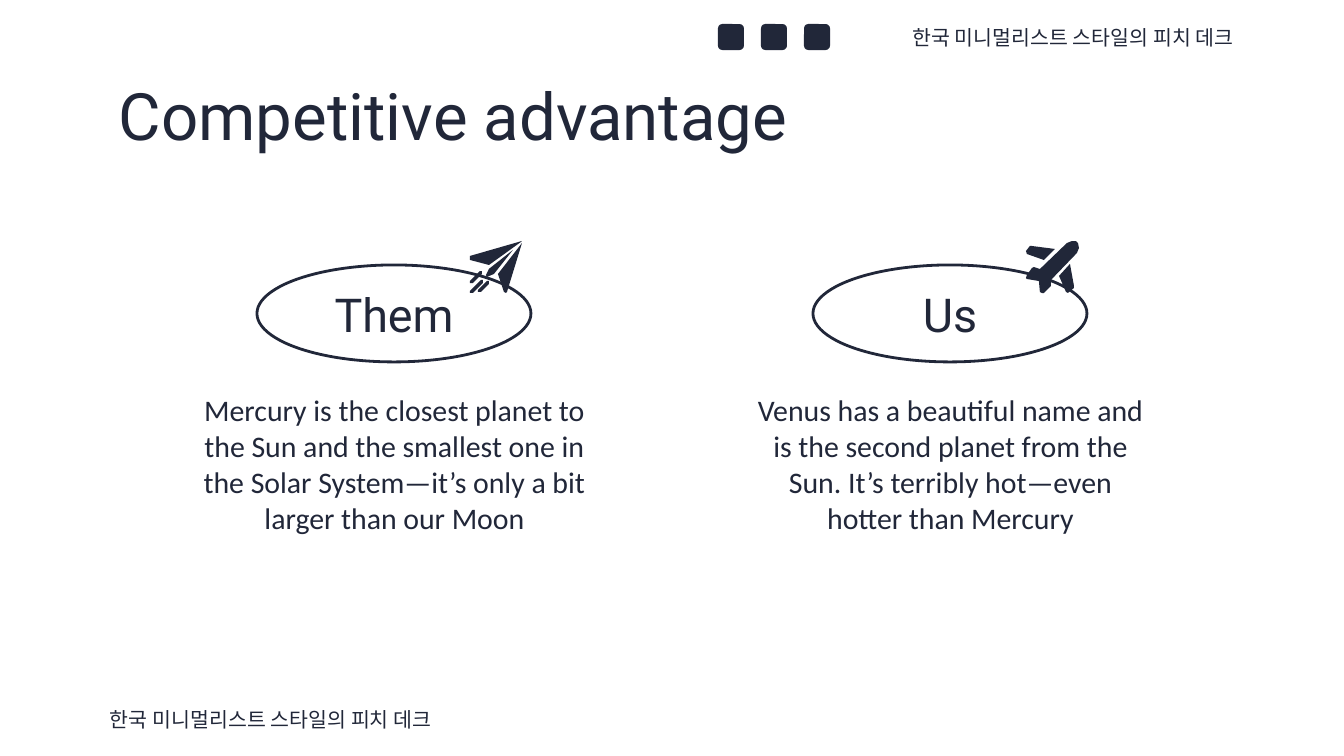
from pptx import Presentation
from pptx.dml.color import RGBColor
from pptx.enum.shapes import MSO_SHAPE
from pptx.enum.text import MSO_ANCHOR, PP_ALIGN
from pptx.util import Pt

PX = 914400 / 134.4
INK = "212739"
OVAL = MSO_SHAPE.OVAL
ROUND = MSO_SHAPE.ROUNDED_RECTANGLE
LEFT, CENTER, RIGHT = PP_ALIGN.LEFT, PP_ALIGN.CENTER, PP_ALIGN.RIGHT
TOP, MIDDLE = MSO_ANCHOR.TOP, MSO_ANCHOR.MIDDLE

STEP = 556
DECK = "한국 미니멀리스트 스타일의 피치 데크"
COLUMNS = [
    ("Them", "Mercury is the closest planet to the Sun and the smallest one in "
             "the Solar System—it’s only a bit larger than our Moon"),
    ("Us", "Venus has a beautiful name and is the second planet from the Sun. "
           "It’s terribly hot—even hotter than Mercury"),
]
DART = [
    [(522, 241), (470, 256), (470, 260), (489, 265), (521, 242)],
    [(513, 250), (489, 269), (486, 275), (487, 277), (494, 274)],
    [(522, 243), (498, 274), (504, 292), (506, 293), (507, 292)],
]
TRAILS = [(470, 271, 12), (478, 281, 11), (470, 280, 13)]
PLANE = [
    [(1072, 241), (1067, 243), (1040, 269), (1034, 267), (1032, 268),
     (1027, 275), (1026, 278), (1027, 279), (1039, 281), (1040, 292),
     (1042, 293), (1044, 293), (1051, 286), (1051, 280), (1077, 253),
     (1079, 248), (1078, 243), (1076, 241)],
    [(1032, 246), (1030, 246), (1026, 251), (1027, 254), (1044, 260),
     (1055, 249)],
    [(1070, 264), (1059, 276), (1066, 292), (1068, 293), (1074, 288),
     (1074, 286)],
]


def px(num):
    return round(num * PX)


def color(code):
    return RGBColor.from_string(code)


def add_text(slide, text, x, y, w, h, size, font, align=LEFT, anchor=MIDDLE):
    box = slide.shapes.add_textbox(px(x), px(y), px(w), px(h))
    frame = box.text_frame
    frame.word_wrap = True
    frame.vertical_anchor = anchor
    frame.margin_left = frame.margin_right = px(13)
    frame.margin_top = frame.margin_bottom = px(13)
    para = frame.paragraphs[0]
    para.text = text
    para.alignment = align
    para.font.size = Pt(size)
    para.font.name = font
    para.font.color.rgb = color(INK)


def paint(shape):
    shape.shadow.inherit = False
    shape.fill.solid()
    shape.fill.fore_color.rgb = color(INK)
    shape.line.fill.background()


def add_ring(slide, x, y, w, h):
    ring = slide.shapes.add_shape(OVAL, px(x), px(y), px(w), px(h))
    ring.shadow.inherit = False
    ring.fill.background()
    ring.line.color.rgb = color(INK)
    ring.line.width = Pt(1.5)


def add_badge(slide, x, y, side):
    badge = slide.shapes.add_shape(ROUND, px(x), px(y), px(side), px(side))
    paint(badge)


def add_icon(slide, parts):
    for start, *rest in parts:
        pen = slide.shapes.build_freeform(*start, scale=PX)
        pen.add_line_segments(rest, close=True)
        paint(pen.convert_to_shape())


def trail(x, y, side):
    return [(x + side - 2, y), (x + side, y), (x + side, y + 3),
            (x + 3, y + side), (x, y + side), (x, y + side - 2)]


def main():
    deck = Presentation()
    deck.slide_width, deck.slide_height = px(1344), px(756)
    slide = deck.slides.add_slide(deck.slide_layouts[6])

    add_text(slide, "Competitive advantage", 106, 79, 1133, 70, 35, "Roboto")
    for col, (name, note) in enumerate(COLUMNS):
        move = col * STEP
        add_ring(slide, 257 + move, 265, 274, 97)
        add_text(slide, name, 210 + move, 288, 368, 52, 25, "Roboto", CENTER)
        add_text(slide, note, 179 + move, 379, 431, 149, 16, "Calibri",
                 CENTER, TOP)
    add_icon(slide, DART + [trail(*spot) for spot in TRAILS])
    add_icon(slide, PLANE)

    for col in range(3):
        add_badge(slide, 718 + col * 43, 24, 26)
    add_text(slide, DECK, 853, 16, 394, 43, 11, "League Spartan", RIGHT)
    add_text(slide, DECK, 97, 698, 394, 43, 11, "League Spartan")

    deck.save("out.pptx")


if __name__ == "__main__":
    main()
